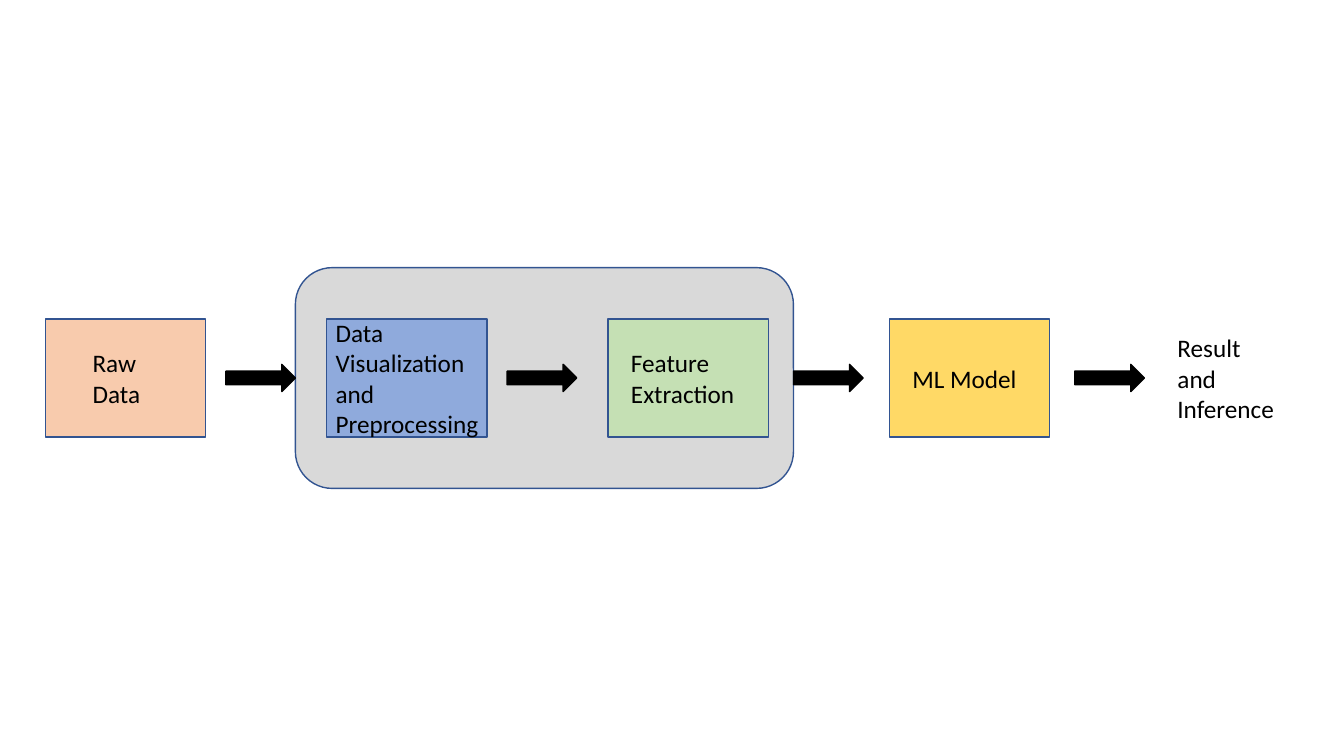
from pptx import Presentation
from pptx.dml.color import RGBColor
from pptx.enum.shapes import MSO_SHAPE
from pptx.enum.text import MSO_ANCHOR, MSO_AUTO_SIZE
from pptx.util import Inches, Pt

RECTANGLE = MSO_SHAPE.RECTANGLE
ROUNDED = MSO_SHAPE.ROUNDED_RECTANGLE
ARROW = MSO_SHAPE.RIGHT_ARROW
MIDDLE = MSO_ANCHOR.MIDDLE
GROW = MSO_AUTO_SIZE.SHAPE_TO_FIT_TEXT

THEME = {
    "font": "Calibri", "size": 18, "line_width": 1,
    "text": "000000", "arrow": "000000", "outline": "325491",
    "group": "D9D9D9", "raw": "F8CBAD", "prepare": "8FAADC",
    "feature": "C5E0B4", "model": "FFD966",
}

STAGE_FILLS = ["raw", "prepare", "feature", "model"]
LABELS = [
    ("Raw Data", 0.82, 1.04, 0.71),
    ("Data Visualization and \nPreprocessing", 3.23, 1.79, 1.31),
    ("Feature\nExtraction", 6.16, 1.32, 0.71),
    ("ML Model", 8.95, 1.32, 0.4),
    ("Result and\nInference", 11.58, 1.2, 1.01),
]
ARROW_LEFTS = [2.24, 5.03, 7.87, 10.66]

CENTER_Y = 3.75
STAGE_LEFT, STAGE_PITCH = 0.45, 2.79
STAGE_WIDTH, STAGE_HEIGHT = 1.59, 1.17
ARROW_WIDTH, ARROW_HEIGHT = 0.69, 0.27
GROUP_LEFT, GROUP_WIDTH, GROUP_HEIGHT = 2.93, 4.94, 2.19


def color(name):
    return RGBColor.from_string(THEME[name])


def centered_frame(left, width, height):
    return [Inches(value) for value in (left, CENTER_Y - height / 2, width, height)]


def add_block(slide, kind, left, width, height, fill, outline):
    shape = slide.shapes.add_shape(kind, *centered_frame(left, width, height))
    shape.shadow.inherit = False
    shape.fill.solid()
    shape.fill.fore_color.rgb = color(fill)
    shape.line.color.rgb = color(outline)
    shape.line.width = Pt(THEME["line_width"])


def add_label(slide, text, left, width, height):
    box = slide.shapes.add_textbox(*centered_frame(left, width, height))
    text_frame = box.text_frame
    text_frame.word_wrap = True
    text_frame.auto_size = GROW
    text_frame.vertical_anchor = MIDDLE
    text_frame.text = text
    for paragraph in text_frame.paragraphs:
        for run in paragraph.runs:
            run.font.name = THEME["font"]
            run.font.size = Pt(THEME["size"])
            run.font.color.rgb = color("text")


presentation = Presentation()
presentation.slide_width = Inches(13.33)
presentation.slide_height = Inches(7.5)
slide = presentation.slides.add_slide(presentation.slide_layouts[6])

add_block(slide, ROUNDED, GROUP_LEFT, GROUP_WIDTH, GROUP_HEIGHT, "group", "outline")
for index, fill in enumerate(STAGE_FILLS):
    left = STAGE_LEFT + index * STAGE_PITCH
    add_block(slide, RECTANGLE, left, STAGE_WIDTH, STAGE_HEIGHT, fill, "outline")
for left in ARROW_LEFTS:
    add_block(slide, ARROW, left, ARROW_WIDTH, ARROW_HEIGHT, "arrow", "arrow")
for label in LABELS:
    add_label(slide, *label)

presentation.save("out.pptx")
